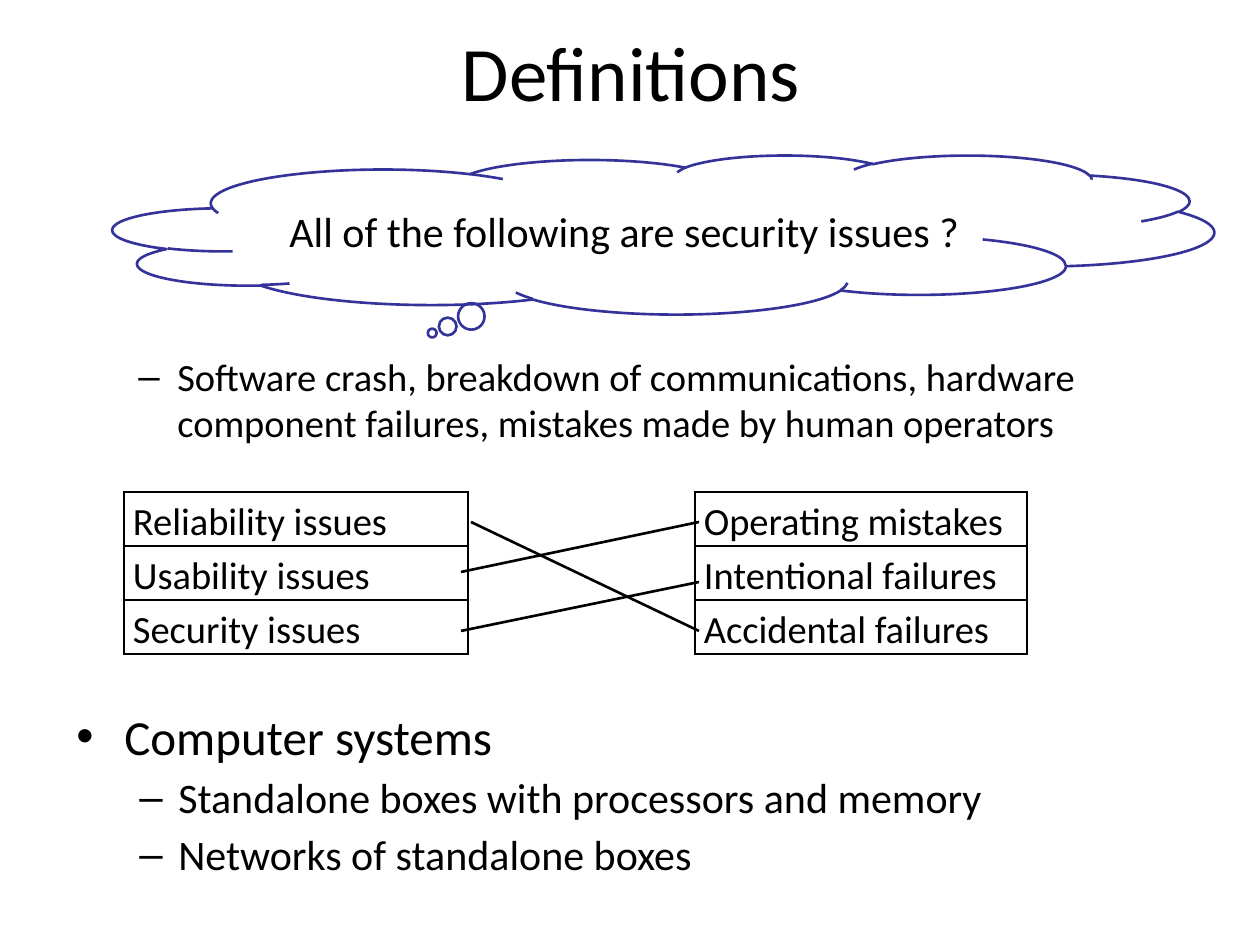
import pptx
import pptx.util
import pptx.dml.color
import pptx.enum.shapes
import pptx.enum.text
import pptx.oxml.ns
from lxml import etree

PX = 914400 // 126
FONT = "Calibri"
BLACK = "000000"
ANCHOR = pptx.enum.text.MSO_ANCHOR
ALIGN = pptx.enum.text.PP_ALIGN
qn = pptx.oxml.ns.qn


def color(value):
    return pptx.dml.color.RGBColor.from_string(value)


def write(paragraph, text, size, align=ALIGN.LEFT):
    paragraph.text = text
    paragraph.alignment = align
    paragraph.font.name = FONT
    paragraph.font.size = pptx.util.Pt(size)
    paragraph.font.color.rgb = color(BLACK)


deck = pptx.Presentation()
deck.slide_width = 1260 * PX
deck.slide_height = 945 * PX
slide = deck.slides.add_slide(deck.slide_layouts[6])
shapes = slide.shapes

# Title
title = shapes.add_textbox(64 * PX, 16 * PX, 1134 * PX, 110 * PX).text_frame
title.word_wrap = True
title.vertical_anchor = ANCHOR.MIDDLE
write(title.paragraphs[0], "Definitions", 44, ALIGN.CENTER)

# Bulleted lists: box, then (text, size, bullet, margin, hang)
lists = [
    ((63, 347, 1113, 126), [
        ("Software crash, breakdown of communications, hardware "
         "component failures, mistakes made by human operators", 22, "–", 102, 39),
    ]),
    ((64, 700, 1074, 208), [
        ("Computer systems", 28, "•", 48, 48),
        ("Standalone boxes with processors and memory", 24, "–", 102, 39),
        ("Networks of standalone boxes", 24, "–", 102, 39),
    ]),
]
for box, items in lists:
    body = shapes.add_textbox(*(length * PX for length in box)).text_frame
    body.word_wrap = True
    for index, (text, size, bullet, margin, hang) in enumerate(items):
        item = body.add_paragraph() if index else body.paragraphs[0]
        write(item, text, size)
        if index:
            item.space_before = pptx.util.Pt(3.8)
        properties = item._p.get_or_add_pPr()
        properties.set("marL", str(margin * PX))
        properties.set("indent", str(-hang * PX))
        etree.SubElement(properties, qn("a:buFont")).set("typeface", "Arial")
        etree.SubElement(properties, qn("a:buChar")).set("char", bullet)
        # Paragraph defaults come after the bullet in the schema
        properties.append(properties.find(qn("a:defRPr")))

# Question in a thought cloud
cloud = shapes.add_shape(pptx.enum.shapes.MSO_SHAPE.CLOUD_CALLOUT,
                         113 * PX, 155 * PX, 1101 * PX, 159 * PX)
cloud.adjustments[0] = -0.21
cloud.adjustments[1] = 0.62
cloud.shadow.inherit = False
cloud.fill.background()
cloud.line.color.rgb = color("333399")
cloud.line.width = pptx.util.Pt(1.5)
cloud.text_frame.word_wrap = True
cloud.text_frame.vertical_anchor = ANCHOR.MIDDLE
write(cloud.text_frame.paragraphs[0],
      "All of the following are security issues ?", 24, ALIGN.CENTER)

# Matching table: issues, open gap, causes
rows = [
    ("Reliability issues", "", "Operating mistakes"),
    ("Usability issues", "", "Intentional failures"),
    ("Security issues", "", "Accidental failures"),
]
widths = [344, 227, 332]
matching = shapes.add_table(len(rows), len(widths), 124 * PX, 492 * PX,
                            sum(widths) * PX, 54 * len(rows) * PX).table
matching.first_row = False
matching.horz_banding = False
for column, width in zip(matching.columns, widths):
    column.width = width * PX
for r, row in enumerate(rows):
    matching.rows[r].height = 54 * PX
    for c, text in enumerate(row):
        cell = matching.cell(r, c)
        cell.margin_left = cell.margin_right = 9 * PX
        cell.margin_top = cell.margin_bottom = 0
        write(cell.text_frame.paragraphs[0], text, 22)
        cell.text_frame.paragraphs[0].line_spacing = 1.15
        cell_properties = cell._tc.get_or_add_tcPr()
        for side in ("lnL", "lnR", "lnT", "lnB"):
            border = etree.SubElement(cell_properties, qn("a:" + side))
            if not text and side in ("lnT", "lnB"):
                border.set("w", "0")
                etree.SubElement(border, qn("a:noFill"))
            else:
                border.set("w", str(pptx.util.Pt(1)))
                ink = etree.SubElement(border, qn("a:solidFill"))
                etree.SubElement(ink, qn("a:srgbClr")).set("val", BLACK)
        cell.fill.background()

# Lines matching each issue to its cause
for x1, y1, x2, y2 in [(471, 522, 699, 631), (461, 572, 699, 522), (461, 631, 699, 582)]:
    match = shapes.add_connector(pptx.enum.shapes.MSO_CONNECTOR.STRAIGHT,
                                 x1 * PX, y1 * PX, x2 * PX, y2 * PX)
    match.line.color.rgb = color(BLACK)
    match.line.width = pptx.util.Pt(1.5)
    etree.SubElement(match._element.spPr, qn("a:effectLst"))

deck.save("out.pptx")
